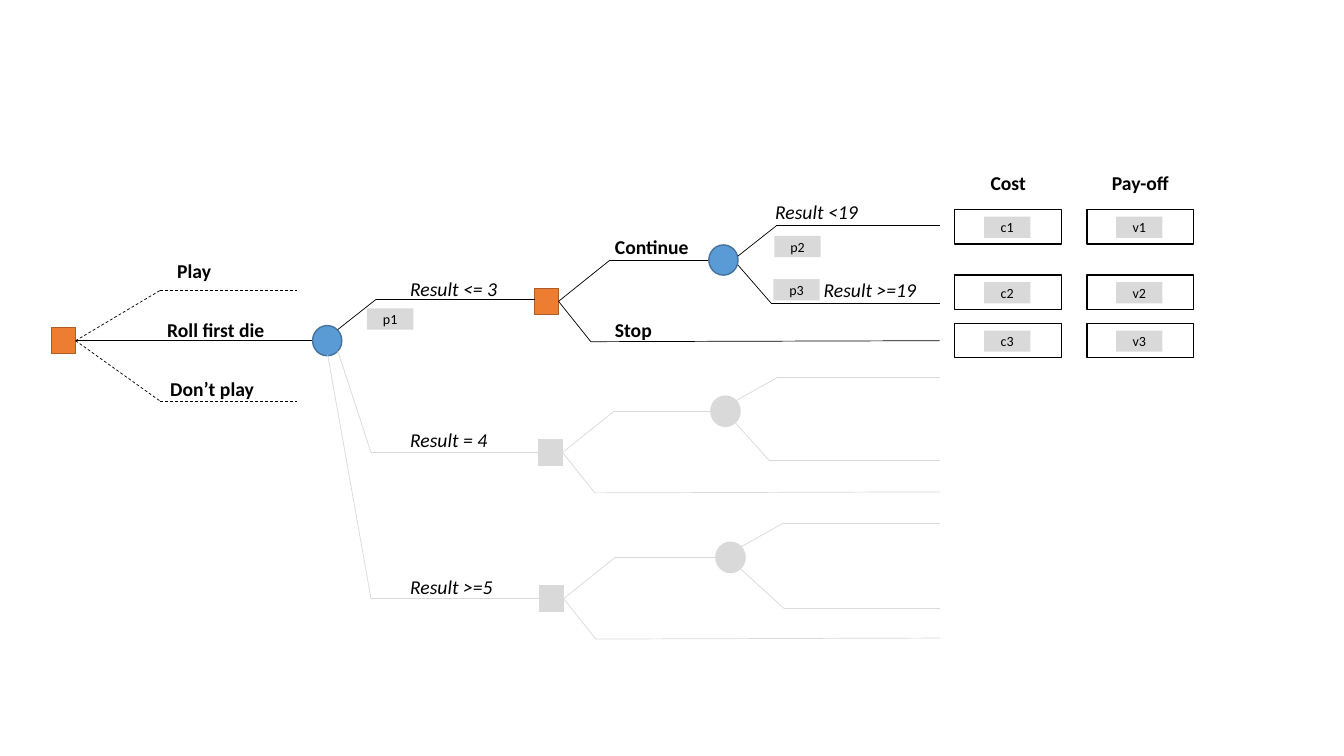
"""Build a decision tree slide for a dice game with costs and pay-offs."""
from itertools import pairwise

from lxml import etree
from pptx import Presentation
from pptx.dml.color import RGBColor
from pptx.enum.dml import MSO_LINE
from pptx.enum.shapes import MSO_CONNECTOR, MSO_SHAPE as SHAPE
from pptx.enum.text import MSO_ANCHOR as ANCHOR, MSO_AUTO_SIZE as AUTO_SIZE, PP_ALIGN as ALIGN
from pptx.oxml.ns import qn
from pptx.util import Inches, Pt

COLUMN = ROW = Inches(1)
COLUMNS, ROWS = 13.33, 7.5

BLACK = RGBColor(0x00, 0x00, 0x00)
GREY = RGBColor(0xD9, 0xD9, 0xD9)
ORANGE = RGBColor(0xED, 0x7D, 0x31)
BROWN = RGBColor(0xAF, 0x5C, 0x24)
BLUE = RGBColor(0x5B, 0x9B, 0xD5)
NAVY = RGBColor(0x43, 0x73, 0x9E)

LEFT, RIGHT = 1, 3
SQUARE = (0.24, 0.26)
CIRCLE = (0.29, 0.3)
TAG = (0.46, 0.21)
OUTCOME = (1.06, 0.34)
LABEL_HEIGHT = 0.34
END = 9.32

ACTION = {"size": Pt(14), "bold": True}
RESULT = {"size": Pt(14), "italic": True}
SMALL = {"size": Pt(10)}

LABELS = [
    ("Play", 1.66, 2.52, 0.64, ACTION),
    ("Continue", 6, 2.28, 1.49, ACTION),
    ("Stop", 6, 3.11, 1.14, ACTION),
    ("Result <= 3", 3.97, 2.7, 1.27, RESULT),
    ("Result = 4", 3.97, 4.2, 1.27, RESULT),
    ("Result >=5", 3.97, 5.65, 1.27, RESULT),
    ("Result <19", 7.59, 1.93, 1.06, RESULT),
    ("Result >=19", 8.07, 2.71, 1.81, RESULT),
]
TAGS = [("p1", 3.64, 3.06), ("p2", 7.68, 2.34), ("p3", 7.67, 2.77)]
OUTCOME_COLUMNS = [("Cost", "c", 9.47), ("Pay-off", "v", 10.78)]
OUTCOME_ROWS = [2.08, 2.73, 3.21]


def place(x, y, width, height):
    """Turn grid columns and rows into slide lengths."""
    return [round(x * COLUMN), round(y * ROW), round(width * COLUMN), round(height * ROW)]


def add_block(page, kind, x, y, size, fill=None, outline=None):
    """Draw a preset shape with an optional fill and outline."""
    block = page.shapes.add_shape(kind, *place(x, y, *size))
    block.shadow.inherit = False
    if fill is None:
        block.fill.background()
    else:
        block.fill.solid()
        block.fill.fore_color.rgb = fill
    if outline is None:
        block.line.fill.background()
    else:
        block.line.color.rgb = outline
        block.line.width = Pt(1)
    return block


def write(box, text, style, align):
    """Write one formatted line in a shape."""
    para = box.text_frame.paragraphs[0]
    para.alignment = align
    span = para.add_run()
    span.text = text
    for name, value in {"name": "Calibri", **style}.items():
        setattr(span.font, name, value)
    span.font.color.rgb = BLACK


def add_label(page, text, x, y, width, style, align=ALIGN.LEFT, wrap=True):
    """Add a text label of one line."""
    box = page.shapes.add_textbox(*place(x, y, width, LABEL_HEIGHT))
    box.text_frame.word_wrap = wrap
    box.text_frame.auto_size = AUTO_SIZE.SHAPE_TO_FIT_TEXT
    write(box, text, style, align)


def add_tag(page, text, x, y):
    """Add a small grey tag that names a variable."""
    tag = add_block(page, SHAPE.RECTANGLE, x, y, TAG, GREY)
    frame = tag.text_frame
    frame.vertical_anchor = ANCHOR.MIDDLE
    for side in ("left", "top", "right", "bottom"):
        setattr(frame, f"margin_{side}", 0)
    write(tag, text, SMALL, ALIGN.CENTER)


def add_branch(page, points, color, source=None, target=None, dashed=False):
    """Draw straight connectors through points, joined to squares at the ends."""
    lines = []
    for start, end in pairwise(points):
        line = page.shapes.add_connector(
            MSO_CONNECTOR.STRAIGHT, *place(*start, *end))
        line.line.color.rgb = color
        line.line.width = Pt(0.5)
        if dashed:
            line.line.dash_style = MSO_LINE.DASH
        etree.SubElement(line._element.spPr, qn("a:effectLst"))
        lines.append(line)
    if source is not None:
        lines[0].begin_connect(source, RIGHT)
    if target is not None:
        lines[-1].end_connect(target, LEFT)


def add_decision(page, x, y, faded=False):
    """Add a square decision node centred on row y."""
    colors = (GREY, GREY) if faded else (ORANGE, BROWN)
    return add_block(page, SHAPE.RECTANGLE, x, y - SQUARE[1] / 2, SQUARE, *colors)


def add_chance(page, x, y, faded=False):
    """Add a round chance node centred on row y."""
    colors = (GREY, GREY) if faded else (BLUE, NAVY)
    return add_block(page, SHAPE.OVAL, x, y - CIRCLE[1] / 2, CIRCLE, *colors)


def add_subtree(page, x, y, chance_x, low_elbow, exits, faded=False):
    """Add a decision with its continue and stop branches and a chance node."""
    color = GREY if faded else BLACK
    decision = add_decision(page, x, y, faded)
    edge = x + SQUARE[0]
    chance_y = y - 0.41
    add_branch(page, [(edge, y), (edge + 0.51, chance_y), (chance_x, chance_y)], color, decision)
    add_branch(page, [(edge, y), (edge + 0.32, y + 0.4), (END, y + 0.39)], color, decision)
    add_chance(page, chance_x, chance_y, faded)
    exit_x, high_exit, low_exit = exits
    for rise, elbow_x, elbow_y in ((high_exit, 0.67, -0.34), (low_exit, *low_elbow)):
        elbow = (chance_x + elbow_x, chance_y + elbow_y)
        add_branch(page, [(chance_x + exit_x, chance_y + rise), elbow, (END, elbow[1])], color)
    return decision


def add_start(page):
    """Add the opening decision and the first roll."""
    root = add_decision(page, 0.51, 3.38)
    origin = (0.75, 3.38)
    add_branch(page, [origin, (3.1, 3.38)], BLACK, root)
    for y in (2.88, 3.98):
        add_branch(page, [origin, (1.59, y), (2.95, y)], BLACK, root, dashed=True)
    add_chance(page, 3.1, 3.38)
    add_label(page, "Roll first die", 1.56, 3.1, 1.18, ACTION, wrap=False)
    add_label(page, "Don’t play", 1.59, 3.69, 1.04, ACTION, wrap=False)


def add_results(page):
    """Add the three results of the first roll with their subtrees."""
    faded_exits = (0.24, -0.1, 0.11)
    add_subtree(page, 5.3, 2.99, 7.03, (0.62, 0.43), (0.29, -0.04, 0.05))
    four = add_subtree(page, 5.34, 4.49, 7.05, (0.58, 0.49), faded_exits, faded=True)
    five = add_subtree(page, 5.35, 5.94, 7.1, (0.68, 0.51), faded_exits, faded=True)
    add_branch(page, [(3.35, 3.27), (3.73, 2.97), (5.31, 2.97)], BLACK)
    add_branch(page, [(3.35, 3.48), (3.68, 4.49), (5.34, 4.49)], GREY, target=four)
    add_branch(page, [(3.25, 3.52), (3.68, 5.94), (5.35, 5.94)], GREY, target=five)


def add_outcomes(page):
    """Add the cost and pay-off boxes under their headings."""
    for heading, letter, x in OUTCOME_COLUMNS:
        add_label(page, heading, x, 1.65, OUTCOME[0], ACTION, ALIGN.CENTER)
        for number, y in enumerate(OUTCOME_ROWS, 1):
            add_block(page, SHAPE.RECTANGLE, x, y, OUTCOME, outline=BLACK)
            add_tag(page, f"{letter}{number}", x + 0.29, y + 0.07)


def main():
    """Build the deck and save it."""
    deck = Presentation()
    deck.slide_width = round(COLUMNS * COLUMN)
    deck.slide_height = round(ROWS * ROW)
    page = deck.slides.add_slide(deck.slide_layouts[6])
    add_start(page)
    add_results(page)
    add_outcomes(page)
    for label in LABELS:
        add_label(page, *label)
    for tag in TAGS:
        add_tag(page, *tag)
    deck.save("out.pptx")


if __name__ == "__main__":
    main()
